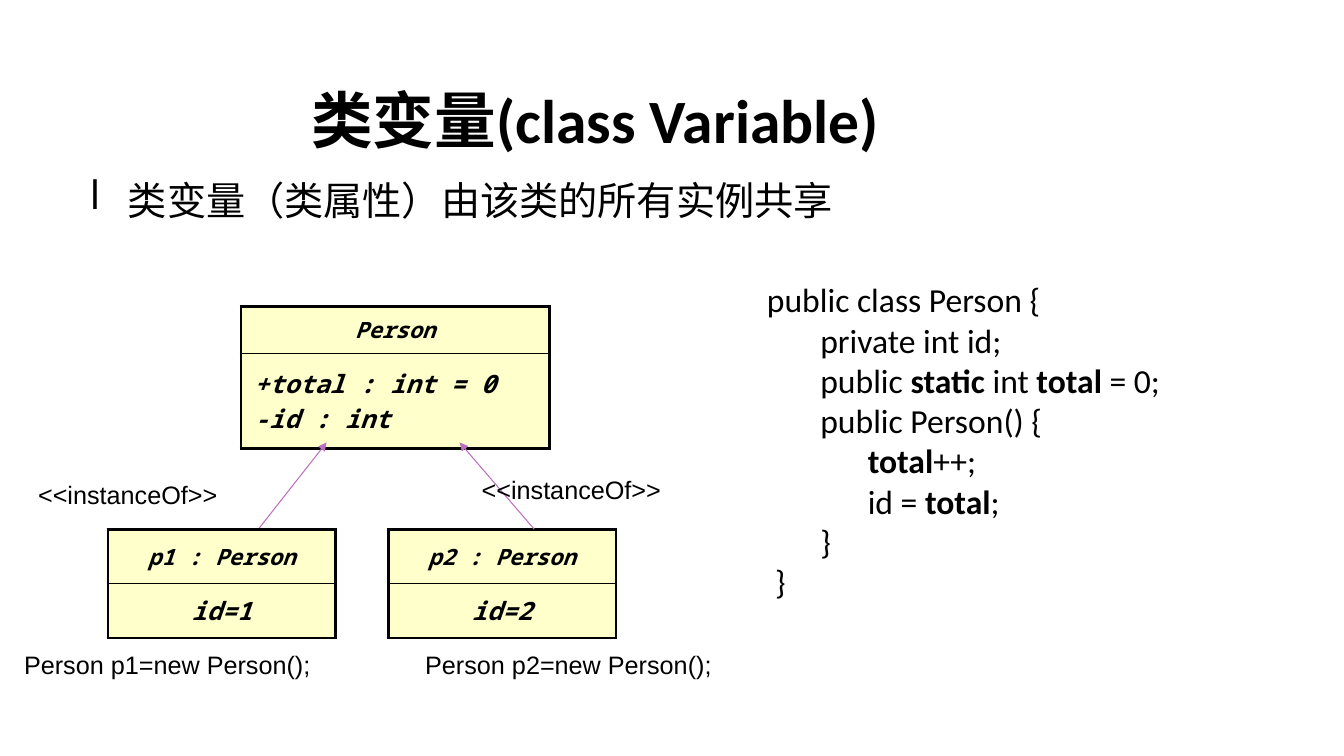
"""Build a slide on class variables with a class diagram and a code sample."""
from lxml.etree import SubElement
from pptx import Presentation
from pptx.dml.color import RGBColor
from pptx.enum.shapes import MSO_CONNECTOR
from pptx.enum.text import MSO_ANCHOR, PP_ALIGN
from pptx.oxml import parse_xml
from pptx.oxml.ns import nsdecls, qn
from pptx.util import Inches, Pt

COLORS = {"text": "000000", "cell": "FFFFCC", "border": "000000", "arrow": "BD6FBF"}

presentation = Presentation()
presentation.slide_width = Inches(13.33)
presentation.slide_height = Inches(7.5)
slide = presentation.slides.add_slide(presentation.slide_layouts[6])


def place(*percents):
    """Turn alternating percentages of slide width and height into lengths."""
    sides = (presentation.slide_width, presentation.slide_height)
    return [int(percent / 100 * sides[index % 2]) for index, percent in enumerate(percents)]


def write_text(frame, text, font="Calibri", size=24, bold=False, italic=False,
               align=PP_ALIGN.LEFT, anchor=MSO_ANCHOR.TOP, spacing=None, indents=None):
    """Write lines of text, where ** switches bold on and off."""
    frame.word_wrap = True
    frame.vertical_anchor = anchor
    for index, line in enumerate(text.split("\n")):
        paragraph = frame.add_paragraph() if index else frame.paragraphs[0]
        paragraph.alignment = align
        paragraph.line_spacing = spacing
        if indents:
            paragraph._p.get_or_add_pPr().set("marL", str(Inches(indents[index])))
        for part, piece in enumerate(line.split("**")):
            if piece:
                run = paragraph.add_run()
                run.text = piece
                run.font.name = font
                run.font.size = Pt(size)
                run.font.bold = bold or part % 2 == 1
                run.font.italic = italic
                run.font.color.rgb = RGBColor.from_string(COLORS["text"])


title = slide.shapes.add_textbox(*place(22.43, 10.53, 59.78, 11.73))
write_text(title.text_frame, "类变量(class Variable)", size=44, bold=True,
           anchor=MSO_ANCHOR.MIDDLE, spacing=0.9)

statement = slide.shapes.add_textbox(*place(5.93, 22.67, 78.75, 7.6))
write_text(statement.text_frame, "类变量（类属性）由该类的所有实例共享", size=28, indents=[0.38])
bullet_properties = statement.text_frame.paragraphs[0]._p.get_or_add_pPr()
bullet_properties.set("indent", str(-Inches(0.38)))
SubElement(bullet_properties, qn("a:buChar")).set("char", "l")

code_lines = [
    (0, "public class Person {"),
    (0.53, "private int id;"),
    (0.53, "public **static **int **total **= 0;"),
    (0.53, "public Person() {"),
    (1, "**total**++;"),
    (1, "id = **total**;"),
    (0.53, "}"),
    (0.08, "}"),
]
code = slide.shapes.add_textbox(*place(56.33, 36.27, 45, 44.4))
write_text(code.text_frame, "\n".join(line for _, line in code_lines),
           indents=[indent for indent, _ in code_lines])

diagram = [
    ("table", (17.93, 40.53, 22.95), (6.27, 12.53),
     ("Person", "+total : int = 0\n-id : int"), PP_ALIGN.LEFT),
    ("arrow", (17.63, 73.6, 24.3, 58.53)),
    ("table", (8.03, 70, 16.95), (7.2, 7.2), ("p1 : Person", "id=1"), PP_ALIGN.CENTER),
    ("table", (28.88, 70, 16.95), (7.2, 7.2), ("p2 : Person", "id=2"), PP_ALIGN.CENTER),
    ("arrow", (39.75, 70, 34.2, 58.53)),
]
for kind, position, *content in diagram:
    if kind == "arrow":
        arrow = slide.shapes.add_connector(MSO_CONNECTOR.STRAIGHT, *place(*position))
        arrow.line.color.rgb = RGBColor.from_string(COLORS["arrow"])
        arrow.line.width = Pt(0.75)
        SubElement(arrow.line._get_or_add_ln(), qn("a:tailEnd")).set("type", "triangle")
        SubElement(arrow._element.spPr, qn("a:effectLst"))
        continue
    heights, texts, body_align = content
    table = slide.shapes.add_table(2, 1, *place(*position, sum(heights))).table
    table.first_row = table.horz_banding = False
    for row, (height, text) in enumerate(zip(heights, texts)):
        table.rows[row].height = place(0, height)[1]
        cell = table.cell(row, 0)
        cell.margin_left = cell.margin_right = Inches(0.13)
        cell.margin_top = cell.margin_bottom = Inches(0.05)
        cell.vertical_anchor = MSO_ANCHOR.MIDDLE
        write_text(cell.text_frame, text, font="Noto Sans Mono", size=18 if row else 16,
                   bold=True, italic=True, align=body_align if row else PP_ALIGN.CENTER,
                   anchor=None)
        cell.fill.solid()
        cell.fill.fore_color.rgb = RGBColor.from_string(COLORS["cell"])
        divider = "T" if row else "B"
        for index, side in enumerate("LRTB"):
            width = Pt(1 if side == divider else 2.25)
            cell._tc.get_or_add_tcPr().insert(index, parse_xml(
                f'<a:ln{side} {nsdecls("a")} w="{width}"><a:solidFill>'
                f'<a:srgbClr val="{COLORS["border"]}"/></a:solidFill></a:ln{side}>'))

labels = [
    ("<<instanceOf>>", 35.1, 62.13, 20.4),
    ("<<instanceOf>>", 2.1, 62.8, 21.23),
    ("Person p1=new Person();", 1.05, 85.2, 33.08),
    ("Person p2=new Person();", 30.9, 85.2, 40.73),
]
for text, left, top, width in labels:
    label = slide.shapes.add_textbox(*place(left, top, width, 5.33))
    write_text(label.text_frame, text, font="Arial", size=18)

presentation.save("out.pptx")
